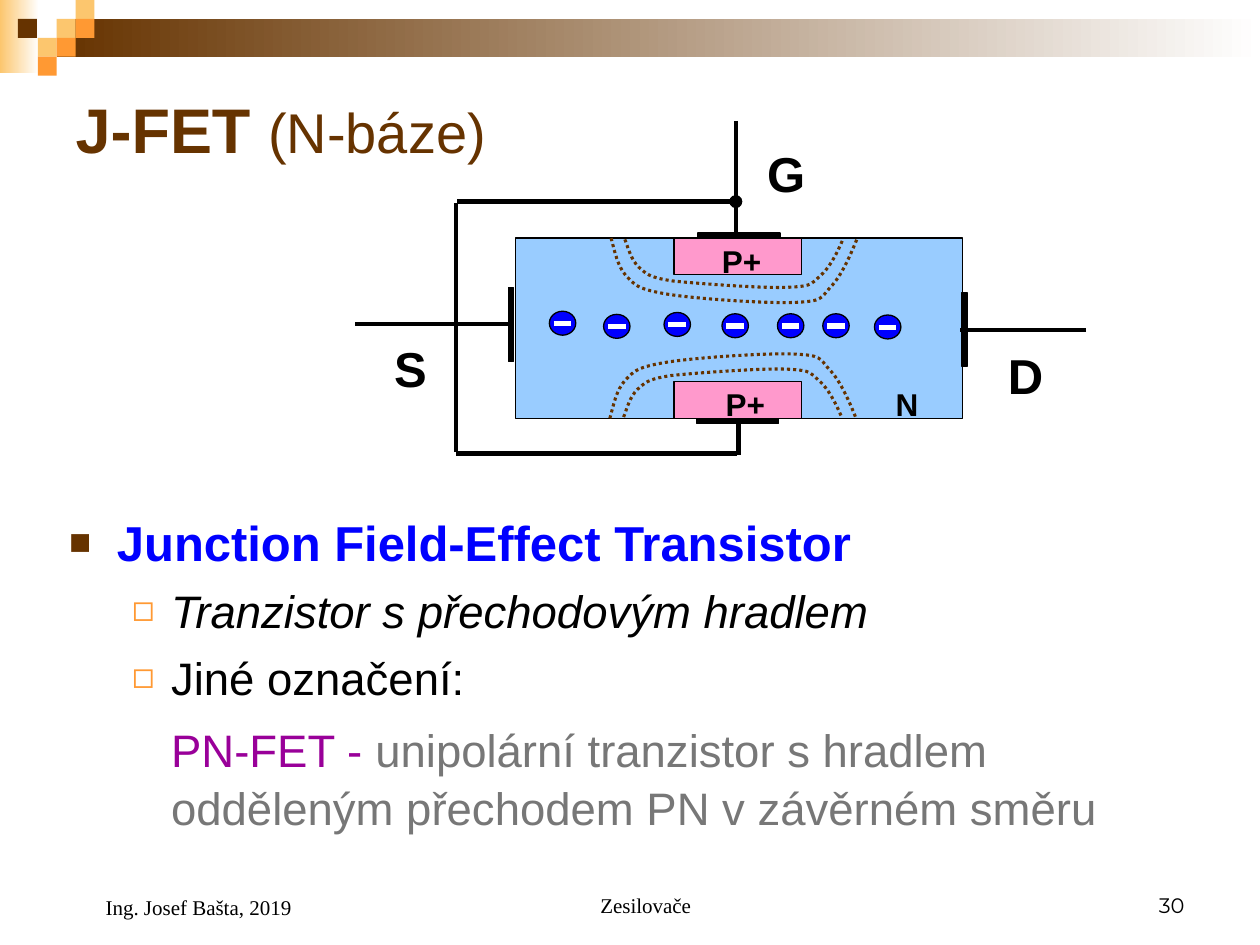
from dataclasses import dataclass, field
from typing import NamedTuple

from lxml.etree import SubElement
from pptx import Presentation
from pptx.dml.color import RGBColor
from pptx.enum.dml import MSO_LINE
from pptx.enum.shapes import MSO_CONNECTOR, MSO_SHAPE
from pptx.enum.text import MSO_ANCHOR, MSO_AUTO_SIZE, PP_ALIGN
from pptx.oxml.ns import qn
from pptx.util import Inches, Pt

COLUMNS, ROWS = 100, 75
CELL = Inches(0.1)
TILE = 1.5
MIRROR_SUM = 52.1
MIRROR_SHIFT = -0.1

BLACK = RGBColor(0x00, 0x00, 0x00)
WHITE = RGBColor(0xFF, 0xFF, 0xFF)
BROWN = RGBColor(0x66, 0x33, 0x00)
ORANGE = RGBColor(0xFF, 0x99, 0x33)
SAND = RGBColor(0xFC, 0xC6, 0x6E)
SKY = RGBColor(0x99, 0xCC, 0xFF)
PINK = RGBColor(0xFF, 0x99, 0xCC)
BLUE = RGBColor(0x00, 0x00, 0xFF)
PURPLE = RGBColor(0x99, 0x00, 0x99)
GREY = RGBColor(0x77, 0x77, 0x77)


class Area(NamedTuple):
    left: float
    top: float
    width: float
    height: float


class Wire(NamedTuple):
    start: tuple
    end: tuple
    dot: bool = False


@dataclass
class Span:
    text: str
    size: float
    color: RGBColor = BLACK
    bold: bool = False
    italic: bool = False
    name: str = "Arial"


@dataclass
class Line:
    spans: list
    margin: float = 0
    hanging: float = 0
    bullet: tuple = ()
    formats: dict = field(default_factory=dict)


def grid(*lengths: float) -> list:
    return [round(length * CELL) for length in lengths]


def fill_line(line: Line, para) -> None:
    for name, value in line.formats.items():
        setattr(para, name, value)
    properties = para._p.get_or_add_pPr()
    margin, hanging = grid(line.margin, line.hanging)
    properties.set("marL", str(margin))
    properties.set("indent", str(-hanging))
    if line.bullet:
        character, color, percent = line.bullet
        tint = SubElement(properties, qn("a:buClr"))
        SubElement(tint, qn("a:srgbClr"), val=str(color))
        SubElement(properties, qn("a:buSzPct"), val=str(percent * 1000))
        SubElement(properties, qn("a:buFont"), typeface="Arial")
        SubElement(properties, qn("a:buChar"), char=character)
    for span in line.spans:
        if span.text == "\n":
            para.add_line_break()
            continue
        run = para.add_run()
        run.text = span.text
        formats = dict(size=Pt(span.size), bold=span.bold, italic=span.italic, name=span.name)
        for name, value in formats.items():
            setattr(run.font, name, value)
        run.font.color.rgb = span.color


def write(box, lines: list, anchor=MSO_ANCHOR.TOP, wrap: bool = True) -> None:
    frame = box.text_frame
    formats = dict(word_wrap=wrap, vertical_anchor=anchor, auto_size=MSO_AUTO_SIZE.NONE)
    for name, value in formats.items():
        setattr(frame, name, value)
    for index, line in enumerate(lines):
        fill_line(line, frame.add_paragraph() if index else frame.paragraphs[0])


def add_text(parent, area: Area, lines: list, **options) -> None:
    write(parent.shapes.add_textbox(*grid(*area)), lines, **options)


def add_block(parent, area: Area, color: RGBColor, outlined: bool = True,
              faded: bool = False, kind=MSO_SHAPE.RECTANGLE) -> None:
    shape = parent.shapes.add_shape(kind, *grid(*area))
    shape.shadow.inherit = False
    if faded:
        shape.fill.gradient()
        shape.fill.gradient_angle = 180
        for stop, shade, position in zip(shape.fill.gradient_stops, (WHITE, color), (0, 1)):
            stop.color.rgb = shade
            stop.position = position
    else:
        shape.fill.solid()
        shape.fill.fore_color.rgb = color
    if outlined:
        shape.line.color.rgb = BLACK
        shape.line.width = Pt(0.75)
    else:
        shape.line.fill.background()


def add_wire(parent, wire: Wire, color: RGBColor = BLACK, width: float = 2.5) -> None:
    connector = parent.shapes.add_connector(MSO_CONNECTOR.STRAIGHT,
                                            *grid(*wire.start, *wire.end))
    connector.line.color.rgb = color
    connector.line.width = Pt(width)
    if wire.dot:
        SubElement(connector.line._get_or_add_ln(), qn("a:headEnd"), type="oval")
    SubElement(connector._element.spPr, qn("a:effectLst"))


def add_electron(parent, left: float, top: float) -> None:
    add_block(parent, Area(left, top, 2.1, 1.9), BLUE, kind=MSO_SHAPE.OVAL)
    add_wire(parent, Wire((left + 0.35, top + 0.97), (left + 1.75, top + 0.97)), WHITE, 3)


def add_depletion_edge(parent, points: list) -> None:
    vertices = [grid(*point) for point in points]
    builder = parent.shapes.build_freeform(*vertices[0])
    builder.add_line_segments(vertices[1:], close=False)
    shape = builder.convert_to_shape()
    segments = list(shape._element.iter(qn("a:lnTo")))
    outline = segments[0].getparent()
    for first in range(0, len(segments), 3):
        curve = SubElement(outline, qn("a:cubicBezTo"))
        for segment in segments[first:first + 3]:
            curve.append(segment[0])
            outline.remove(segment)
    shape.shadow.inherit = False
    shape.fill.background()
    shape.line.color.rgb = BROWN
    shape.line.width = Pt(1.75)
    shape.line.dash_style = MSO_LINE.ROUND_DOT


FADES = [(Area(0, 0, 3.1, 5.8), SAND), (Area(4.5, 1.5, 95.5, 3), BROWN)]
TILES = [(3, 1, SAND), (4, 0, SAND), (4, 1, ORANGE), (2, 2, SAND),
         (0.95, 1, BROWN), (3, 2, ORANGE), (2, 3, ORANGE)]
REGIONS = [(Area(40.9, 18.9, 35.5, 14.3), SKY), (Area(53.5, 30.3, 10.1, 2.9), PINK),
           (Area(53.5, 18.9, 10.1, 2.9), PINK)]
ELECTRODES = [Area(55.3, 33.2, 6.5, 0.4), Area(55.4, 18.5, 6.5, 0.4),
              Area(40.35, 22.8, 0.4, 5.9), Area(76.35, 23.2, 0.4, 5.9)]
WIRES = [Wire((40.5, 25.7), (28.2, 25.7)), Wire((86.2, 26.2), (76.2, 26.2)),
         Wire((58.4, 9.6), (58.4, 18.7)), Wire((58.5, 36), (36.2, 36)),
         Wire((58.6, 33.6), (58.6, 36.1)), Wire((36.2, 16.1), (36.2, 35.9)),
         Wire((58.4, 16), (36.3, 16), dot=True)]
LABELS = [("N", 18, Area(70.1, 30.1, 3.3, 4)), ("P+", 18, Area(56.6, 30.1, 5.2, 4)),
          ("P+", 18, Area(56.3, 18.7, 5.2, 4)), ("S", 28, Area(30.3, 26.4, 4.1, 5.7)),
          ("G", 28, Area(59.9, 10.9, 4.1, 5.7)), ("D", 28, Area(79, 26.9, 4.1, 5.7))]
ELECTRONS = [(43.6, 24.7), (47.9, 24.95), (52.7, 24.8), (57.3, 24.9),
             (61.7, 24.9), (65.3, 24.9), (69.4, 25)]
EDGES = [
    [(49.6, 19), (49.9, 19.8), (50.1, 20.6), (50.7, 21.2), (51.3, 21.7), (51.4, 22),
     (53.4, 22.3), (55.3, 22.5), (60.7, 22.9), (62.6, 22.8), (64.6, 22.7), (64.4, 22.5),
     (65.1, 21.9), (65.8, 21.3), (66.4, 20.2), (66.9, 19)],
    [(48.5, 18.9), (48.8, 20), (49, 21.1), (49.7, 21.9), (50.4, 22.6), (50.5, 22.9),
     (52.7, 23.3), (54.9, 23.7), (60.9, 24.1), (63.1, 24), (65.3, 23.9), (65.1, 23.7),
     (65.9, 22.8), (66.7, 22), (67.4, 20.5), (68, 19)],
]
SECOND_LEVEL = dict(margin=8.1, hanging=3.1, bullet=("◻", ORANGE, 80))
BODY = [
    Line([Span("Junction Field-Effect Transistor", 28, BLUE, bold=True)], 3.8, 3.8,
         ("■", BROWN, 75)),
    Line([Span("Tranzistor s přechodovým hradlem", 26, italic=True)], **SECOND_LEVEL,
         formats=dict(space_before=Pt(6.5))),
    Line([Span("Jiné označení:", 26)], **SECOND_LEVEL, formats=dict(space_before=Pt(7))),
    Line([Span("PN-FET - ", 26, PURPLE), Span("unipolární tranzistor s hradlem", 26, GREY),
          Span("\n", 26), Span("odděleným přechodem PN v závěrném směru", 26, GREY)], 8.1,
         formats=dict(line_spacing=1.06, space_before=Pt(8.5))),
]
FOOTERS = [("Zesilovače", "Times New Roman", PP_ALIGN.CENTER, 2.4, Area(34.2, 68.3, 31.7, 5)),
           ("30", "Montserrat", PP_ALIGN.RIGHT, 0, Area(71.7, 68.3, 23.3, 5)),
           ("Ing. Josef Bašta, 2019", "Times New Roman", PP_ALIGN.LEFT, 2.4,
            Area(5, 68.3, 23.3, 5.2))]


def main() -> None:
    deck = Presentation()
    deck.slide_width, deck.slide_height = grid(COLUMNS, ROWS)
    page = deck.slides.add_slide(deck.slide_layouts[5])
    header = page.shapes.add_group_shape()
    for area, color in FADES:
        add_block(header, area, color, outlined=False, faded=True)
    for column, row, color in TILES:
        add_block(header, Area(column * TILE, row * TILE, TILE, TILE), color, outlined=False)

    title = page.shapes.title
    title.left, title.top, title.width, title.height = grid(5, 5, 90, 10.3)
    write(title, [Line([Span("J-FET ", 36, BROWN, bold=True), Span("(N-báze)", 32, BROWN)],
                       formats=dict(alignment=PP_ALIGN.LEFT))], anchor=MSO_ANCHOR.MIDDLE)
    add_text(page, Area(4.5, 40.2, 91.7, 26.6), BODY)

    transistor = page.shapes.add_group_shape()
    for area, color in REGIONS:
        add_block(transistor, area, color)
    for text, size, area in LABELS:
        add_text(transistor, area, [Line([Span(text, size, bold=True)])], wrap=False)
    for area in ELECTRODES:
        add_block(transistor, area, BLACK)
    for wire in WIRES:
        add_wire(transistor, wire)
    for left, top in ELECTRONS:
        add_electron(transistor, left, top)
    for edge in EDGES:
        add_depletion_edge(transistor, edge)
        add_depletion_edge(transistor, [(x + MIRROR_SHIFT, MIRROR_SUM - y) for x, y in edge])

    for text, font, alignment, margin, area in FOOTERS:
        add_text(page, area, [Line([Span(text, 12, name=font)], margin,
                                   formats=dict(alignment=alignment))], anchor=MSO_ANCHOR.BOTTOM)
    deck.save("out.pptx")


if __name__ == "__main__":
    main()
